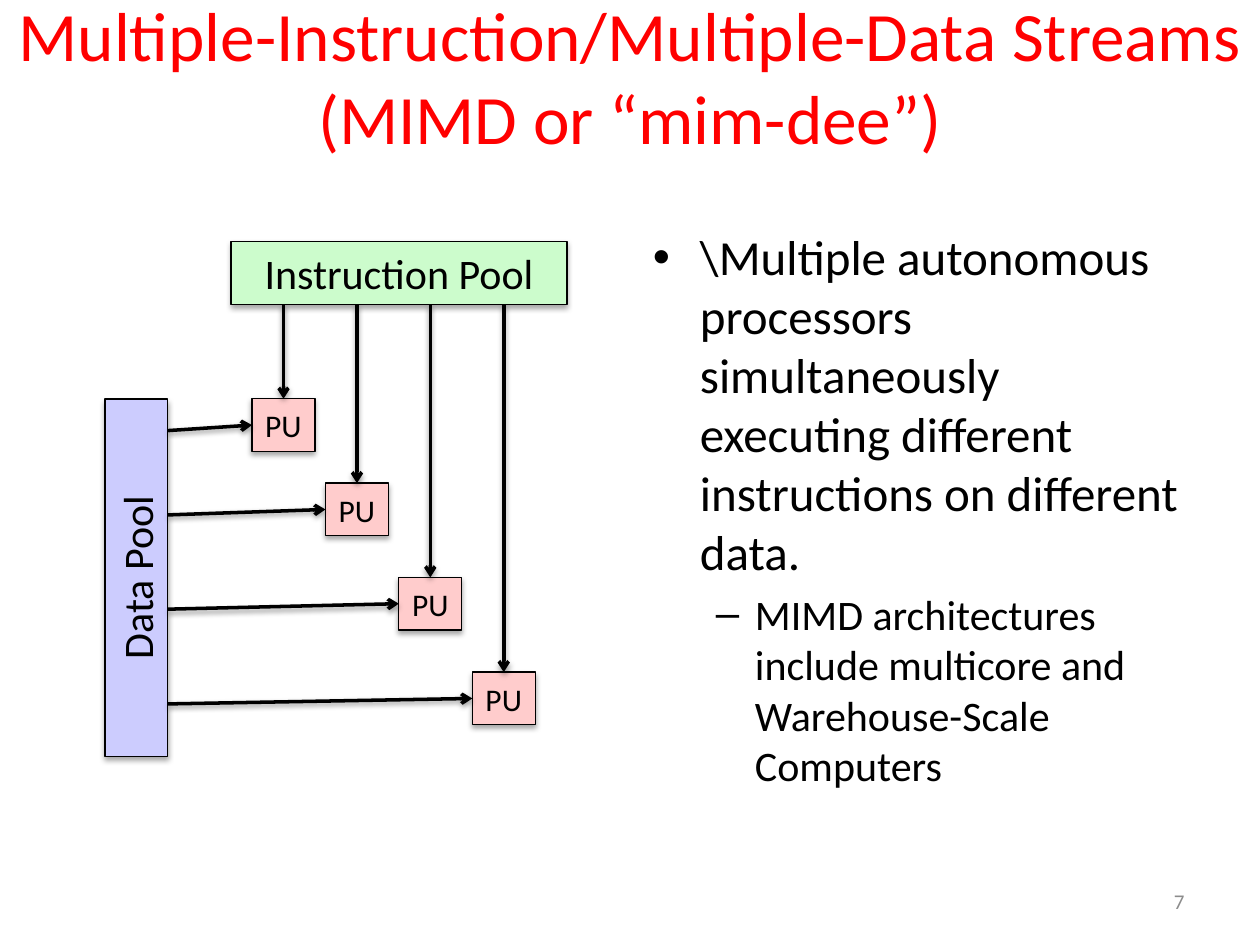
import pptx
import pptx.util
import pptx.dml.color
import pptx.enum.shapes
import pptx.enum.text
import pptx.oxml
import pptx.oxml.ns
from dataclasses import dataclass

Cm = pptx.util.Cm
Pt = pptx.util.Pt
ALIGN = pptx.enum.text.PP_ALIGN
ANCHOR = pptx.enum.text.MSO_ANCHOR


@dataclass(frozen=True)
class Theme:
    font: str = "Calibri"
    title_color: str = "FF0000"
    text_color: str = "000000"
    number_color: str = "8C8C8C"
    instruction_fill: str = "CCFCCC"
    data_fill: str = "CCCCFE"
    unit_fill: str = "FFCCCC"
    title_size: float = 39.6
    body_size: float = 28
    sub_size: float = 24
    pool_size: float = 24
    unit_size: float = 18
    number_size: float = 12
    box_line: float = 0.75
    arrow_line: float = 2


THEME = Theme()


def rgb(color):
    return pptx.dml.color.RGBColor.from_string(color)


def xml(tag, attrs="", inner=""):
    ns = pptx.oxml.ns.nsdecls("a")
    return pptx.oxml.parse_xml(f"<a:{tag} {ns} {attrs}>{inner}</a:{tag}>")


def format_paragraph(p, size, color, align):
    p.alignment = align
    for r in p.runs:
        r.font.name = THEME.font
        r.font.size = Pt(size)
        r.font.color.rgb = rgb(color)


def add_shadow(sp, distance, opacity):
    """Give a shape or connector a soft shadow straight below it."""
    shadow = (
        f'<a:outerShdw blurRad="{Pt(3.1)}" dist="{Pt(distance)}" dir="5400000" rotWithShape="0">'
        f'<a:srgbClr val="000000"><a:alpha val="{opacity * 1000}"/></a:srgbClr></a:outerShdw>'
    )
    sp._element.spPr.append(xml("effectLst", inner=shadow))


def add_text(s, box, text, size, color, align, anchor=ANCHOR.MIDDLE):
    sp = s.shapes.add_textbox(*map(Cm, box))
    tf = sp.text_frame
    tf.word_wrap = True
    tf.vertical_anchor = anchor
    tf.text = text
    for p in tf.paragraphs:
        format_paragraph(p, size, color, align)
    return tf


def add_bullet(p, char, left, hanging, size):
    p.space_before = Pt(size * 0.2)
    format_paragraph(p, size, THEME.text_color, ALIGN.LEFT)
    pPr = p._p.get_or_add_pPr()
    pPr.set("marL", str(Cm(left)))
    pPr.set("indent", str(-Cm(hanging)))
    pPr.append(xml("buFont", 'typeface="Arial"'))
    pPr.append(xml("buChar", f'char="{char}"'))


def add_box(s, box, text, fill, size, rotation=0):
    sp = s.shapes.add_shape(pptx.enum.shapes.MSO_SHAPE.RECTANGLE, *map(Cm, box))
    sp.rotation = rotation
    sp.fill.solid()
    sp.fill.fore_color.rgb = rgb(fill)
    sp.line.color.rgb = rgb(THEME.text_color)
    sp.line.width = Pt(THEME.box_line)
    add_shadow(sp, 1.8, 35)
    tf = sp.text_frame
    tf.word_wrap = False
    tf.vertical_anchor = ANCHOR.MIDDLE
    tf.text = text
    format_paragraph(tf.paragraphs[0], size, THEME.text_color, ALIGN.CENTER)


def add_arrow(s, start, end):
    line = s.shapes.add_connector(
        pptx.enum.shapes.MSO_CONNECTOR.STRAIGHT, *map(Cm, (*start, *end))
    )
    line.line.color.rgb = rgb(THEME.text_color)
    line.line.width = Pt(THEME.arrow_line)
    line.line._get_or_add_ln().append(xml("tailEnd", 'type="arrow"'))
    add_shadow(line, 1.6, 38)


def add_diagram(s):
    """Draw both pools and the processing units that each of them feeds."""
    unit_w, unit_h = 1.27, 1.06
    first_x, step_x = 5.08, 1.48
    unit_tops = (8.04, 9.74, 11.64, 13.55)
    pool_bottom, pool_right = 6.14, 3.39
    data_drop = 0.64  # the data arrows start slightly below the unit's middle

    add_box(s, (4.66, 4.87, 6.77, 1.27), "Instruction Pool",
            THEME.instruction_fill, THEME.pool_size)
    add_box(s, (-0.85, 11.01, 7.2, 1.27), "Data Pool",
            THEME.data_fill, THEME.pool_size, rotation=270)
    for i, top in enumerate(unit_tops):
        x = first_x + i * step_x
        middle = x + unit_w / 2
        add_box(s, (x, top, unit_w, unit_h), "PU", THEME.unit_fill, THEME.unit_size)
        add_arrow(s, (pool_right, top + data_drop), (x, top + unit_h / 2))
        add_arrow(s, (middle, pool_bottom), (middle, top))


def add_body(s):
    tf = add_text(
        s, (12.91, 4.45, 11.22, 12.57),
        "\\Multiple autonomous processors simultaneously executing different "
        "instructions on different data.\n"
        "MIMD architectures include multicore and Warehouse-Scale Computers",
        THEME.body_size, THEME.text_color, ALIGN.LEFT, ANCHOR.TOP,
    )
    main_point, sub_point = tf.paragraphs
    sub_point.level = 1
    add_bullet(main_point, "•", 0.95, 0.95, THEME.body_size)
    add_bullet(sub_point, "–", 2.06, 0.79, THEME.sub_size)


def main():
    prs = pptx.Presentation()
    prs.slide_width, prs.slide_height = Cm(25.4), Cm(19.05)
    s = prs.slides.add_slide(prs.slide_layouts[6])
    title = add_text(
        s, (-0.42, 0.76, 26.24, 3.18),
        "Multiple-Instruction/Multiple-Data Streams\v(MIMD or “mim-dee”)",
        THEME.title_size, THEME.title_color, ALIGN.CENTER,
    )
    title.margin_bottom = Cm(1.8)  # lifts the centred title
    add_body(s)
    add_text(s, (18.2, 17.66, 5.93, 1.01), "7",
             THEME.number_size, THEME.number_color, ALIGN.RIGHT)
    add_diagram(s)
    prs.save("out.pptx")


if __name__ == "__main__":
    main()
